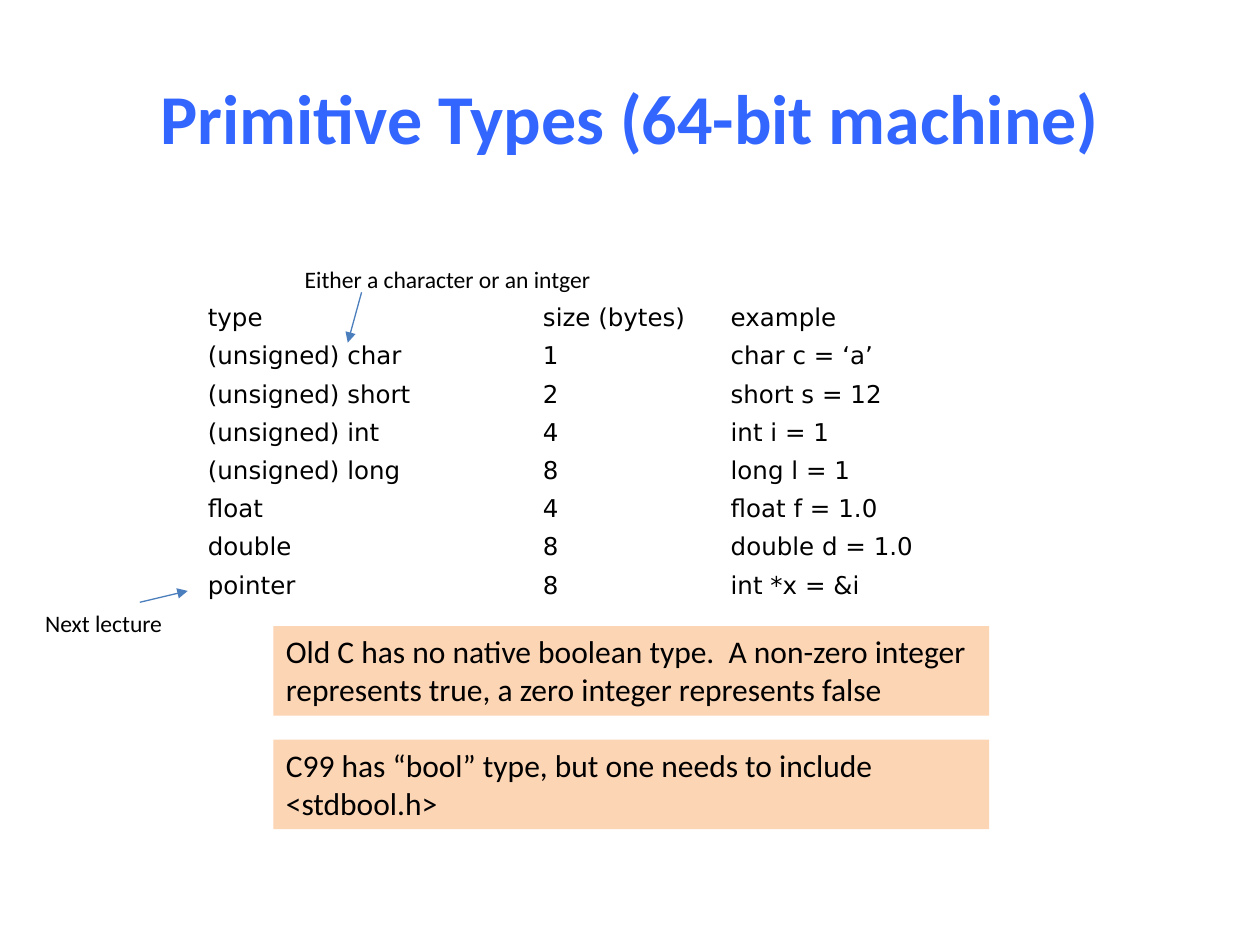
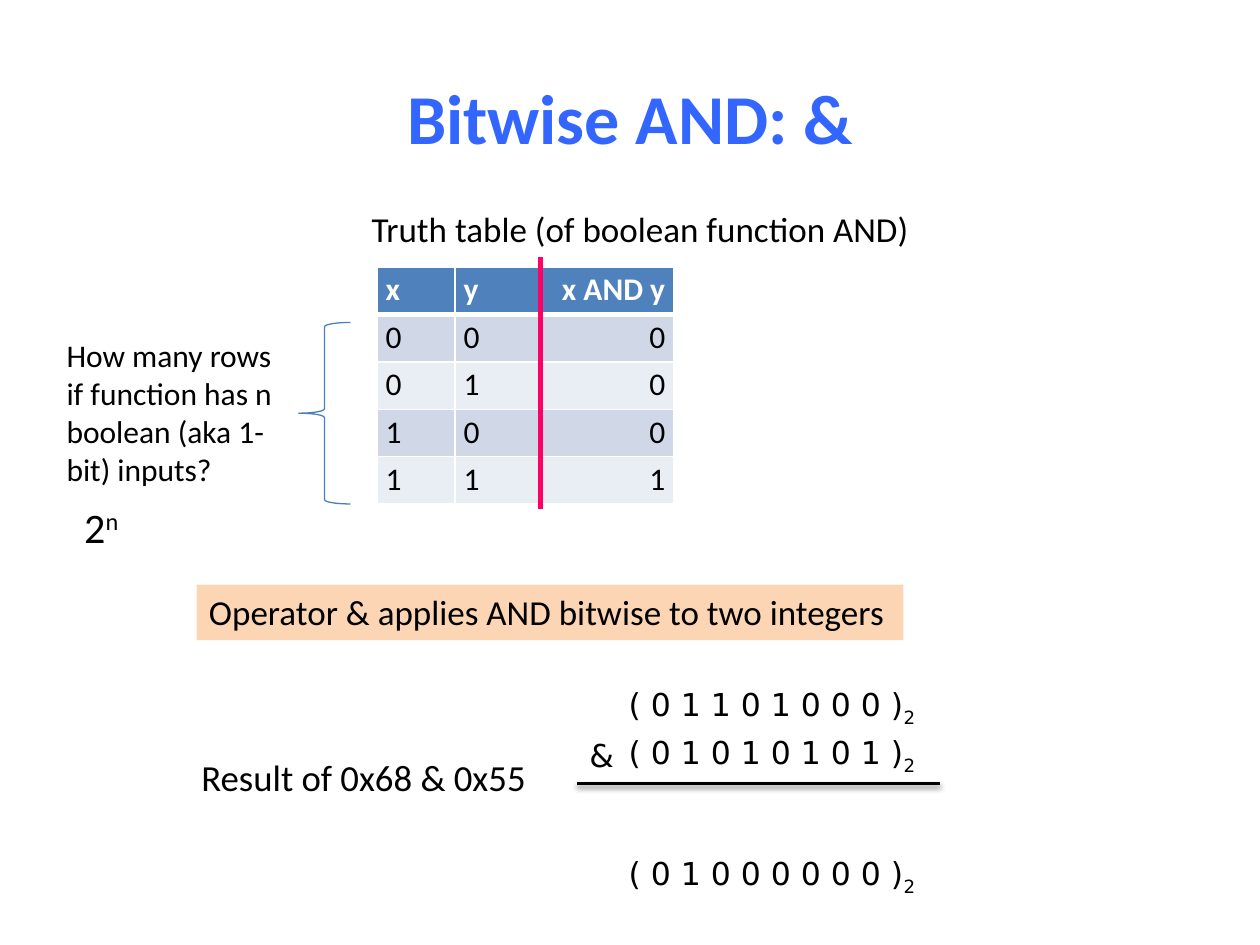
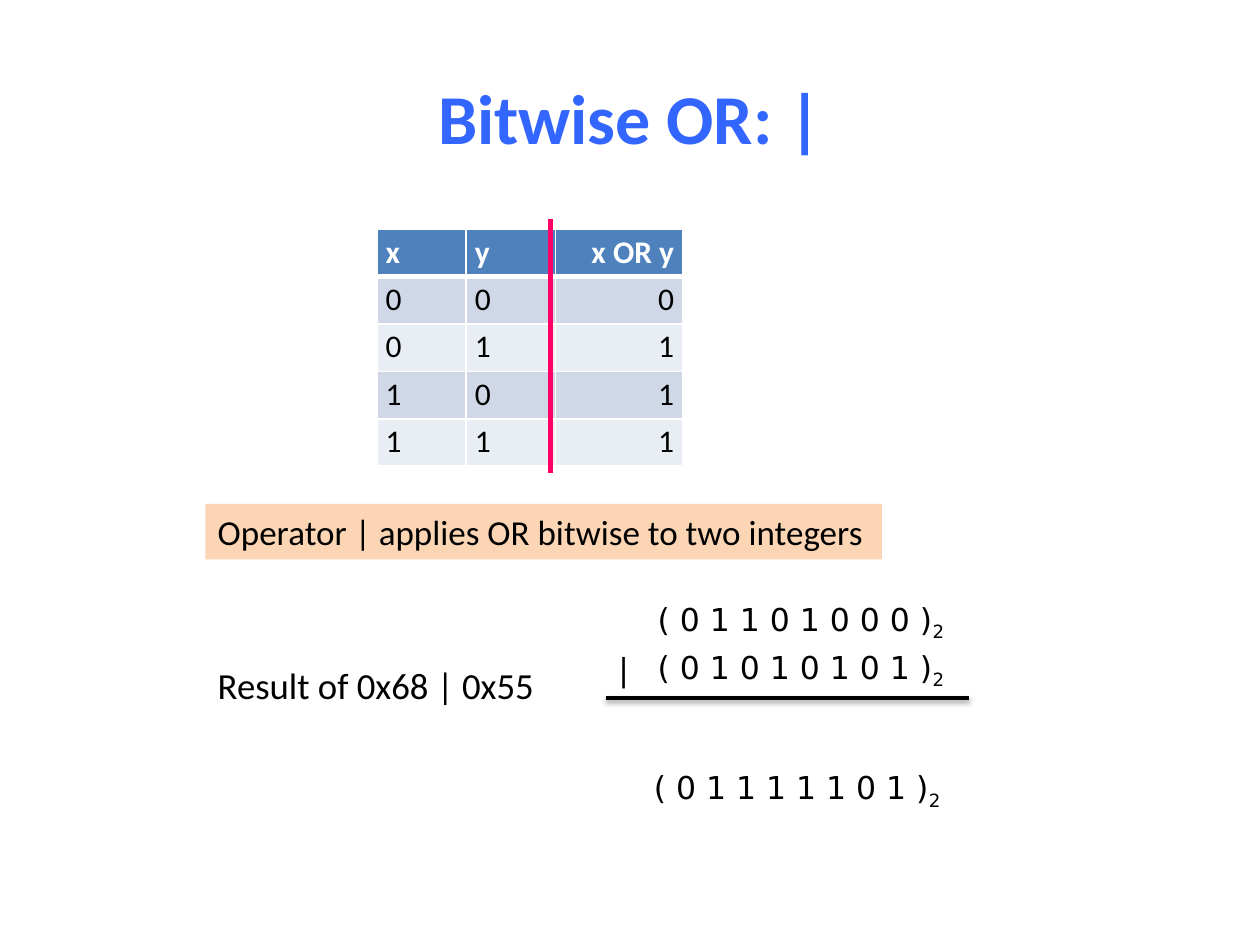
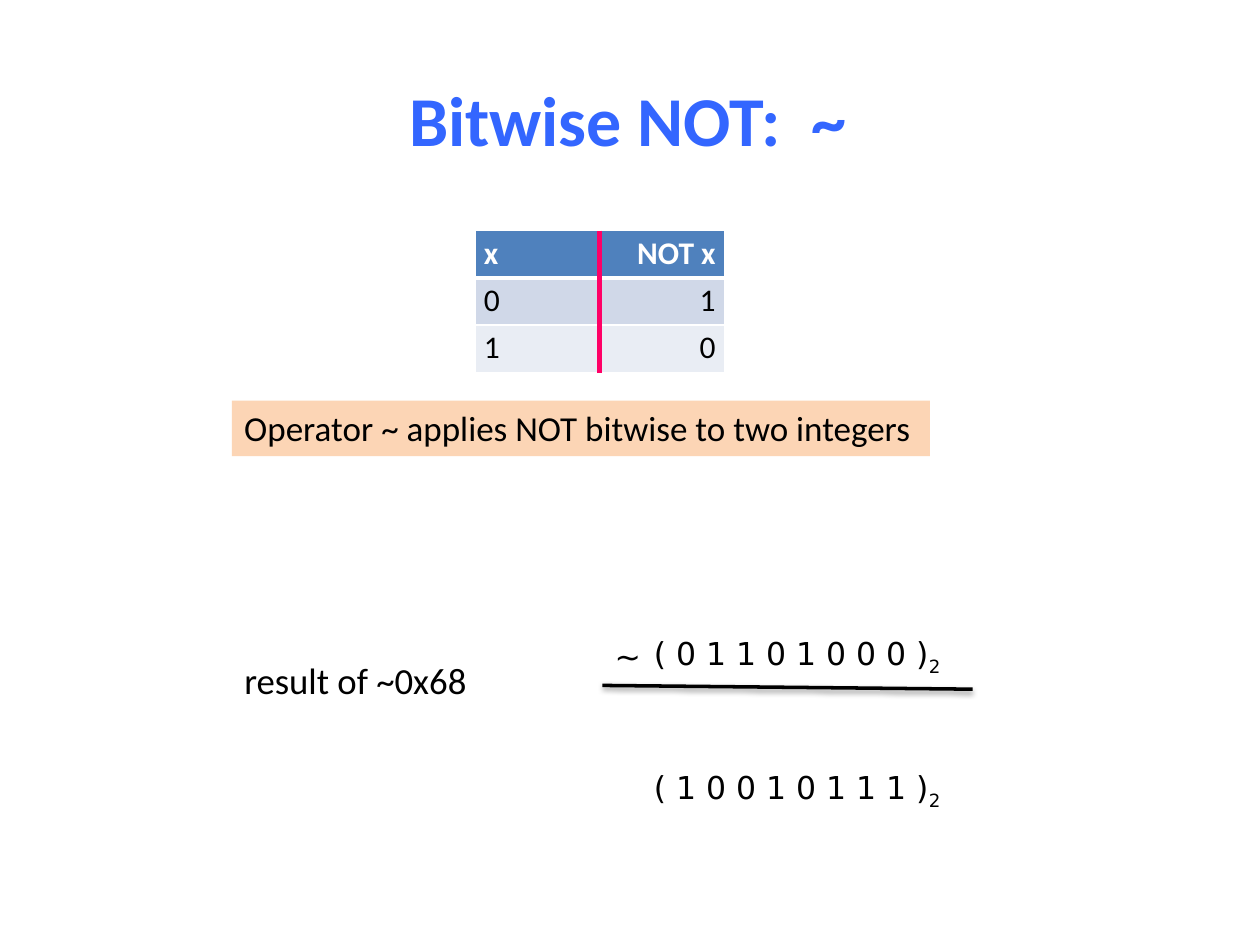
"""Build four slides on C primitive types and bitwise operators."""
import lxml.etree
import pptx
import pptx.dml.color
import pptx.enum.shapes
import pptx.enum.text
import pptx.oxml
import pptx.oxml.ns
import pptx.util

PX = 9144
BLUE, INK, WHITE = "3366FF", "000000", "FFFFFF"
PEACH, STEEL, PINK = "FCD5B5", "4B7EBC", "FF0066"
HEAD, BANDS = "4F81BD", ("D0D8E8", "E9EDF4")
SANS, MONO = "Calibri", "DejaVu Sans"
NS = 'xmlns:a="http://schemas.openxmlformats.org/drawingml/2006/main"'
SHADE = (
    f'<a:effectLst {NS}><a:outerShdw blurRad="39370" dist="20320" dir="5400000">'
    '<a:srgbClr val="000000"><a:alpha val="38000"/></a:srgbClr>'
    "</a:outerShdw></a:effectLst>"
)
hue = pptx.dml.color.RGBColor.from_string
Pt = pptx.util.Pt
ALIGN = pptx.enum.text.PP_ALIGN


def write(slide, box, text, size, font=SANS, fill=None, small="", shift=0):
    """Add a text box, with an optional raised or lowered last run."""
    shape = slide.shapes.add_textbox(*[n * PX for n in box])
    if fill:
        shape.fill.solid()
        shape.fill.fore_color.rgb = hue(fill)
    frame = shape.text_frame
    frame.word_wrap = box[3] > 60
    frame.auto_size = pptx.enum.text.MSO_AUTO_SIZE.SHAPE_TO_FIT_TEXT
    para = frame.paragraphs[0]
    para.add_run().text = text
    if small:
        run = para.add_run()
        run.text = small
        run._r.get_or_add_rPr().set("baseline", str(shift * 1000))
    para.font.size = Pt(size)
    para.font.name = font
    para.font.color.rgb = hue(INK)


def draw(slide, ends, color, width, arrow=False, shade=False):
    """Add a straight line, with an optional arrowhead or shadow."""
    line = slide.shapes.add_connector(
        pptx.enum.shapes.MSO_CONNECTOR.STRAIGHT, *[n * PX for n in ends])
    line.line.color.rgb = hue(color)
    line.line.width = Pt(width)
    if arrow:
        tip = lxml.etree.SubElement(line.line._get_or_add_ln(), pptx.oxml.ns.qn("a:tailEnd"))
        tip.set("type", "triangle")
    effect = SHADE if shade else f"<a:effectLst {NS}/>"
    line._element.spPr.append(pptx.oxml.parse_xml(effect))


deck = pptx.Presentation()
deck.slide_width, deck.slide_height = 1000 * PX, 750 * PX

WIDE = (50, 30, 900, 125)
TITLES = [
    ("Primitive Types (64-bit machine)", WIDE),
    ("Bitwise AND: &", WIDE),
    ("Bitwise OR: |", WIDE),
    ("Bitwise NOT:  ~", (161, 47, 675, 94)),
]
slides = []
for text, box in TITLES:
    slide = deck.slides.add_slide(deck.slide_layouts[5])
    title = slide.shapes.title
    title.left, title.top, title.width, title.height = [n * PX for n in box]
    title.text_frame.text = text
    title.text_frame.vertical_anchor = pptx.enum.text.MSO_ANCHOR.MIDDLE
    para = title.text_frame.paragraphs[0]
    para.alignment = ALIGN.CENTER
    para.font.size, para.font.name, para.font.bold = Pt(40), SANS, True
    para.font.color.rgb = hue(BLUE)
    slides.append(slide)
types, both, either, invert = slides

TYPES = [
    ("type", "size (bytes)", "example"),
    ("(unsigned) char", "1", "char c = ‘a’"),
    ("(unsigned) short", "2", "short s = 12"),
    ("(unsigned) int", "4", "int i = 1"),
    ("(unsigned) long", "8", "long l = 1"),
    ("float", "4", "float f = 1.0"),
    ("double", "8", "double d = 1.0"),
    ("pointer", "8", "int *x = &i"),
]
AND = [("x", "y", "x AND y"), "000", "010", "100", "111"]
OR = [("x", "y", "x OR y"), "000", "011", "101", "111"]
NOT = [("x", "NOT x"), "01", "10"]
GRIDS = [
    (types, TYPES, 158, 238, (266, 149, 265), 243),
    (both, AND, 299, 212, (62, 67, 107), 188),
    (either, OR, 299, 182, (71, 71, 101), 188),
    (invert, NOT, 377, 183, (99, 99), 112),
]
for slide, rows, left, top, cols, high in GRIDS:
    truth = slide is not types
    table = slide.shapes.add_table(
        len(rows), len(cols), left * PX, top * PX, sum(cols) * PX, high * PX).table
    table.first_row = table.horz_banding = truth
    for col, wide in zip(table.columns, cols):
        col.width = wide * PX
    for i, row in enumerate(rows):
        table.rows[i].height = high * PX // len(rows)
        for j, text in enumerate(row):
            cell = table.cell(i, j)
            cell.margin_left = cell.margin_right = 7 * PX
            cell.margin_top, cell.margin_bottom = 3 * PX, 4 * PX
            cell.text = text
            para = cell.text_frame.paragraphs[0]
            top_row = truth and i == 0
            para.font.size = Pt(18 if truth else 14)
            para.font.name = SANS if truth else MONO
            para.font.bold = top_row
            para.font.color.rgb = hue(WHITE if top_row else INK)
            if not truth:
                cell.fill.background()
                continue
            if j == len(cols) - 1:
                para.alignment = ALIGN.RIGHT
            for side in "LRTB":
                thick = 3 if (i, side) in ((0, "B"), (1, "T")) else 1
                cell._tc.get_or_add_tcPr().append(pptx.oxml.parse_xml(
                    f'<a:ln{side} {NS} w="{thick * 12700}"><a:solidFill>'
                    f'<a:srgbClr val="{WHITE}"/></a:solidFill></a:ln{side}>'))
            cell.fill.solid()
            cell.fill.fore_color.rgb = hue(HEAD if top_row else BANDS[(i - 1) % 2])

for slide, x, top, base in [(both, 429, 204, 404), (either, 437, 174, 375), (invert, 476, 183, 296)]:
    draw(slide, (x, top, x, base), PINK, 3)

NOTES = [
    (types, (217, 497, 568, 71), 18,
     "Old C has no native boolean type.  A non-zero integer represents true, "
     "a zero integer represents false"),
    (types, (217, 587, 568, 71), 18, "C99 has “bool” type, but one needs to include <stdbool.h>"),
    (both, (156, 464, 561, 44), 20, "Operator & applies AND bitwise to two integers"),
    (either, (163, 400, 537, 44), 20, "Operator | applies OR bitwise to two integers"),
    (invert, (184, 318, 554, 44), 20, "Operator ~ applies NOT bitwise to two integers"),
]
for slide, box, size, text in NOTES:
    write(slide, box, text, size, fill=PEACH)

draw(types, (287, 232, 276, 272), STEEL, 0.75, arrow=True)
write(types, (232, 205, 251, 33), "Either a character or an intger", 13.5)
draw(types, (111, 478, 149, 469), STEEL, 0.75, arrow=True)
write(types, (26, 478, 115, 33), "Next lecture", 13.5)

write(both, (285, 160, 461, 44), "Truth table (of boolean function AND)", 20)
brace = both.shapes.add_shape(
    pptx.enum.shapes.MSO_SHAPE.LEFT_BRACE, 237 * PX, 256 * PX, 41 * PX, 144 * PX)
brace.shadow.inherit = False
brace.fill.background()
brace.line.color.rgb = hue(STEEL)
brace.line.width = Pt(0.75)
write(both, (43, 262, 184, 131), "How many rows if function has n boolean (aka 1-bit) inputs?", 18)
write(both, (57, 393, 49, 50), "2", 24, small="n", shift=30)

SUMS = [
    (both, "Result of 0x68 & 0x55", (150, 594, 280, 45), "&", (458, 579, 39, 40),
     (458, 622, 746, 622), [(489, 539, 0x68), (489, 577, 0x55), (489, 673, 0x68 & 0x55)]),
    (either, "Result of 0x68 | 0x55", (163, 521, 274, 45), "|", (481, 511, 32, 40),
     (481, 554, 769, 554), [(512, 471, 0x68), (512, 509, 0x55), (509, 605, 0x68 | 0x55)]),
    (invert, "result of ~0x68", (184, 517, 199, 45), "~", (478, 501, 41, 40),
     (478, 544, 772, 547), [(509, 498, 0x68), (509, 605, ~0x68 & 0xFF)]),
]
for slide, label, place, sign, spot, rule, terms in SUMS:
    write(slide, place, label, 21)
    write(slide, spot, sign, 18, MONO)
    draw(slide, rule, INK, 2, shade=True)
    for x, y, byte in terms:
        bits = " ".join(format(byte, "08b"))
        write(slide, (x, y, 269, 40), f"( {bits} )", 18, MONO, small="2", shift=-25)

deck.save("out.pptx")
